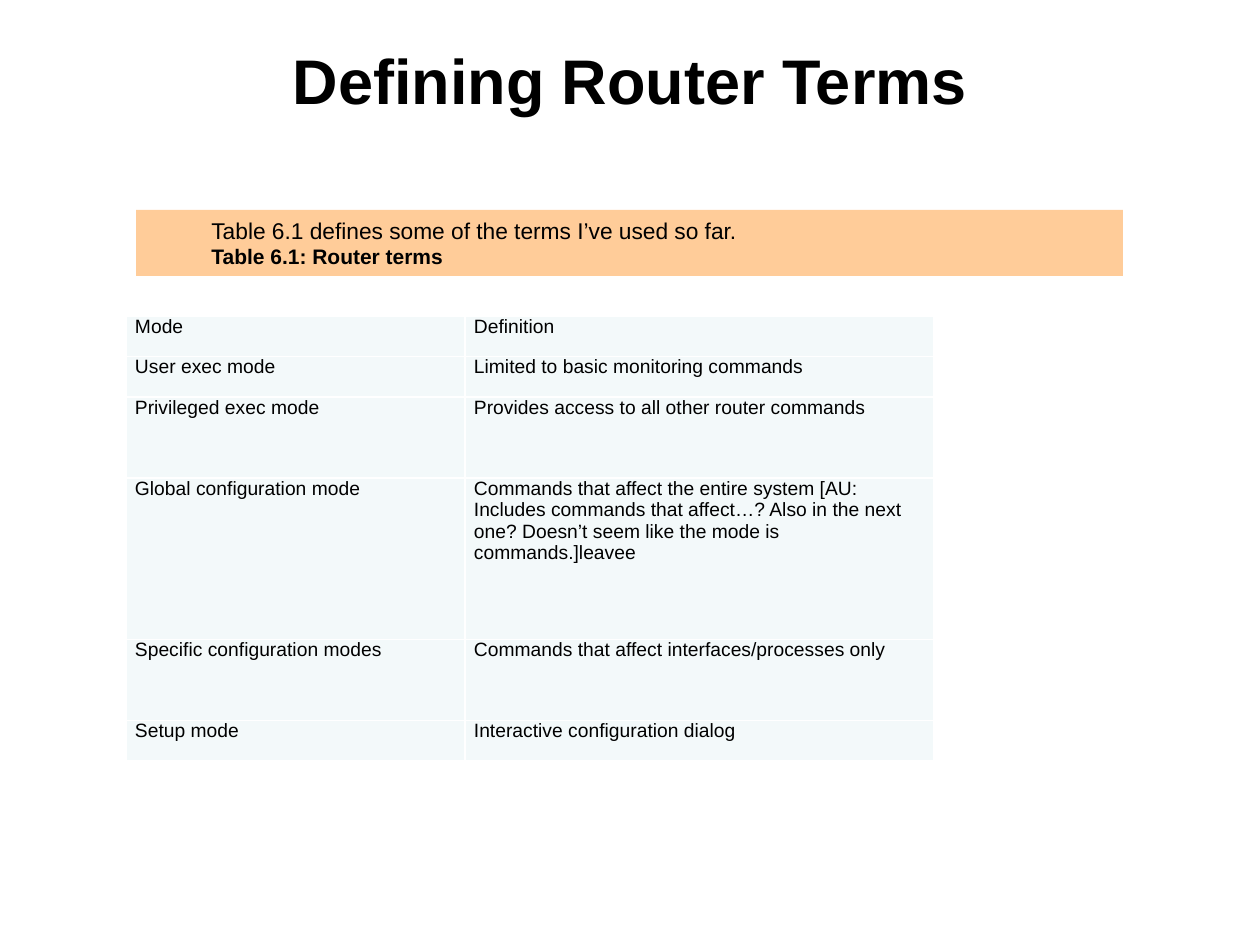
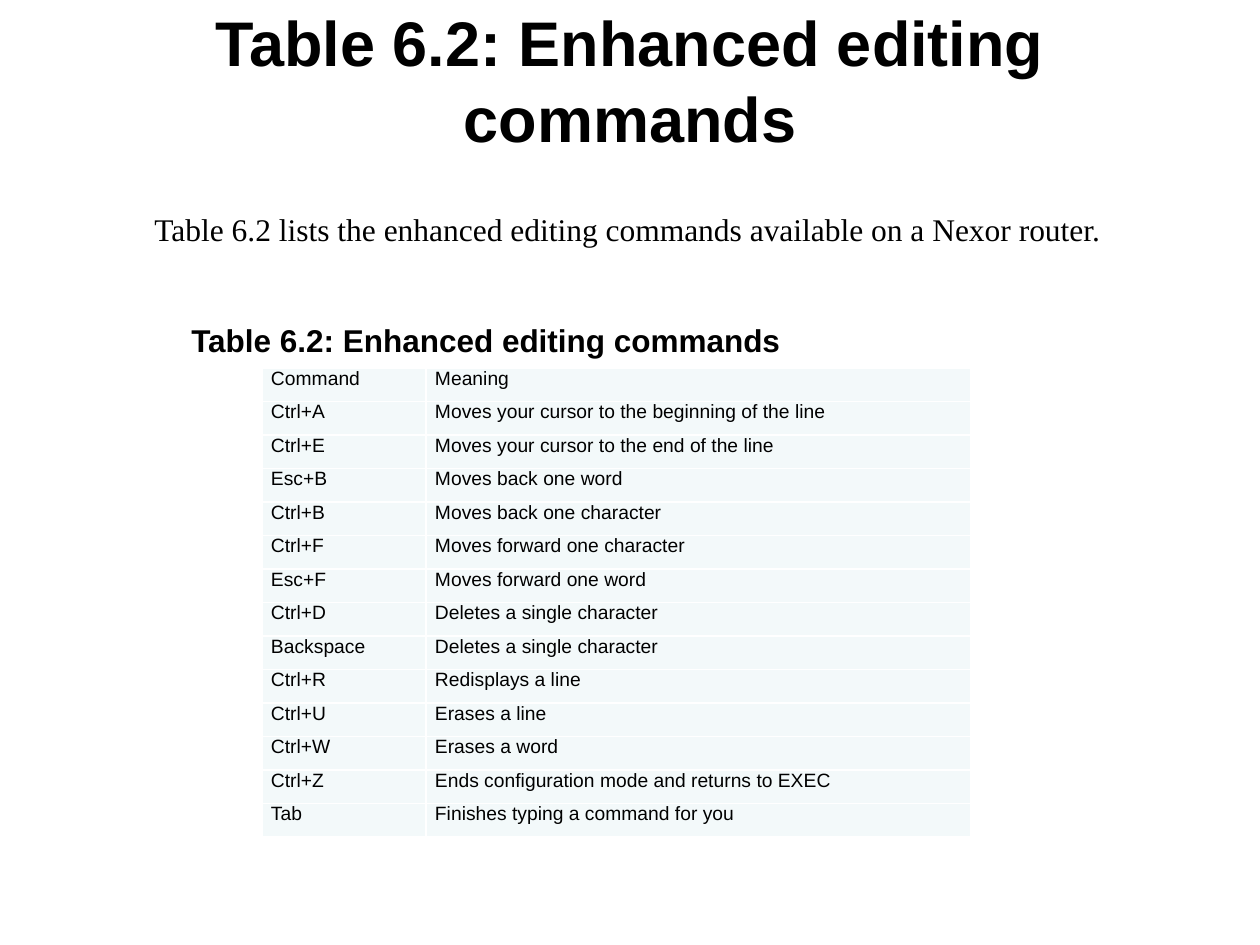
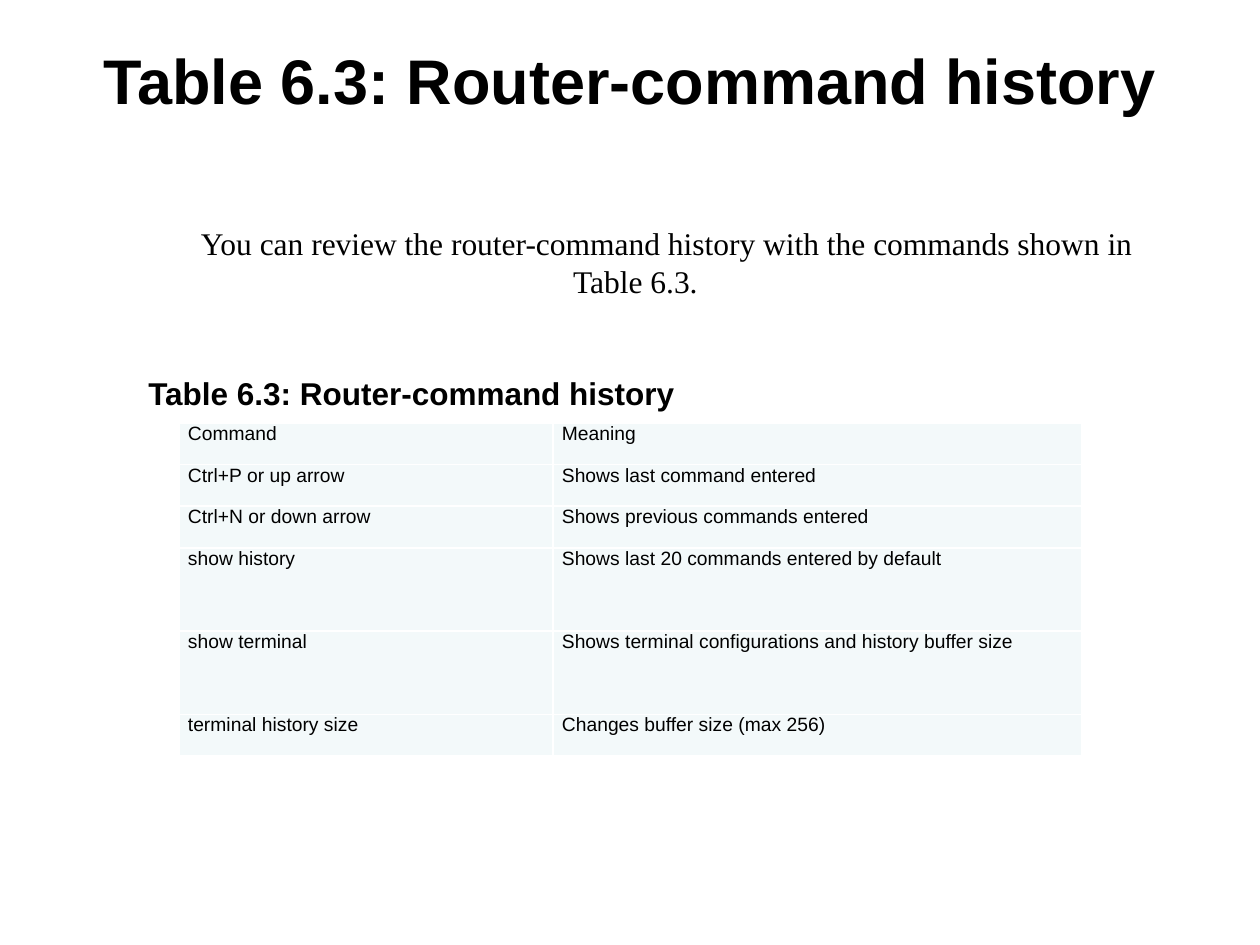
from dataclasses import dataclass
from itertools import accumulate

from lxml.etree import SubElement
from pptx import Presentation
from pptx.dml.color import RGBColor
from pptx.enum.shapes import MSO_SHAPE
from pptx.enum.text import MSO_ANCHOR, MSO_AUTO_SIZE, PP_ALIGN
from pptx.oxml.ns import qn
from pptx.util import Pt

EMU_PER_PX = 914400 / 126


@dataclass(frozen=True)
class Theme:
    ink: str = "000000"
    band: str = "FFCC99"
    cell: str = "F3F9FA"
    grid: str = "FFFFFF"
    sans: str = "Arial"
    serif: str = "Times New Roman"
    title: int = 36
    body: int = 18
    lead: int = 13
    label: int = 12
    table: int = 11


THEME = Theme()
TITLE_BOX = (63, 38, 1134, 157)
TITLE_LINE = 75
INDENT = 63
CELL_INSET = 9

ROUTER_TERMS = [
    ("Mode", "Definition"),
    ("User exec mode", "Limited to basic monitoring commands"),
    ("Privileged exec mode", "Provides access to all other router commands"),
    ("Global configuration mode",
     "Commands that affect the entire system [AU: Includes commands that affect…? "
     "Also in the next one? Doesn’t seem like the mode is commands.]leavee"),
    ("Specific configuration modes", "Commands that affect interfaces/processes only"),
    ("Setup mode", "Interactive configuration dialog"),
]
EDITING_COMMANDS = [
    ("Command", "Meaning"),
    ("Ctrl+A", "Moves your cursor to the beginning of the line"),
    ("Ctrl+E", "Moves your cursor to the end of the line"),
    ("Esc+B", "Moves back one word"),
    ("Ctrl+B", "Moves back one character"),
    ("Ctrl+F", "Moves forward one character"),
    ("Esc+F", "Moves forward one word"),
    ("Ctrl+D", "Deletes a single character"),
    ("Backspace", "Deletes a single character"),
    ("Ctrl+R", "Redisplays a line"),
    ("Ctrl+U", "Erases a line"),
    ("Ctrl+W", "Erases a word"),
    ("Ctrl+Z", "Ends configuration mode and returns to EXEC"),
    ("Tab", "Finishes typing a command for you"),
]
HISTORY_COMMANDS = [
    ("Command", "Meaning"),
    ("Ctrl+P or up arrow", "Shows last command entered"),
    ("Ctrl+N or down arrow", "Shows previous commands entered"),
    ("show history", "Shows last 20 commands entered by default"),
    ("show terminal", "Shows terminal configurations and history buffer size"),
    ("terminal history size", "Changes buffer size (max 256)"),
]


def px(length):
    return round(length * EMU_PER_PX)


def emu(box):
    return [px(length) for length in box]


def write(paragraph, text, size, font=THEME.sans, bold=False,
          align=PP_ALIGN.LEFT, before=0, after=0):
    paragraph.text = text
    paragraph.font.name = font
    paragraph.font.size = Pt(size)
    paragraph.font.bold = bold
    paragraph.font.color.rgb = RGBColor.from_string(THEME.ink)
    paragraph.alignment = align
    paragraph.space_before = Pt(before)
    paragraph.space_after = Pt(after)


def indent(paragraph, margin, first_line):
    properties = paragraph._p.get_or_add_pPr()
    properties.set("marL", str(px(margin)))
    properties.set("indent", str(px(first_line)))


def add_text(slide, box, wrap=True):
    frame = slide.shapes.add_textbox(*emu(box)).text_frame
    frame.word_wrap = wrap
    return frame


def add_title(slide, text):
    """Centre the title in its box, above one line kept free."""
    frame = add_text(slide, TITLE_BOX)
    frame.vertical_anchor = MSO_ANCHOR.MIDDLE
    frame.margin_top = 0
    frame.margin_bottom = px(TITLE_LINE)
    write(frame.paragraphs[0], text, THEME.title, bold=True, align=PP_ALIGN.CENTER)


def add_intro(slide, box, text, align=PP_ALIGN.LEFT):
    frame = add_text(slide, box)
    frame.auto_size = MSO_AUTO_SIZE.SHAPE_TO_FIT_TEXT
    write(frame.paragraphs[0], text, THEME.body, THEME.serif, align=align, after=6)
    indent(frame.paragraphs[0], INDENT, INDENT)


def add_caption(slide, box, text):
    frame = add_text(slide, box, wrap=False)
    frame.auto_size = MSO_AUTO_SIZE.SHAPE_TO_FIT_TEXT
    write(frame.paragraphs[0], text, THEME.body, bold=True, before=12, after=6)


def add_band(slide, box, lead, label):
    band = slide.shapes.add_shape(MSO_SHAPE.RECTANGLE, *emu(box))
    band.shadow.inherit = False
    band.fill.solid()
    band.fill.fore_color.rgb = RGBColor.from_string(THEME.band)
    band.line.fill.background()
    frame = band.text_frame
    frame.word_wrap = True
    frame.vertical_anchor = MSO_ANCHOR.MIDDLE
    write(frame.paragraphs[0], lead, THEME.lead)
    write(frame.add_paragraph(), label, THEME.label, bold=True)
    for paragraph in frame.paragraphs:
        indent(paragraph, 0, INDENT)


def outline_cell(cell):
    properties = cell._tc.get_or_add_tcPr()
    for side in ("lnL", "lnR", "lnT", "lnB"):
        line = SubElement(properties, qn(f"a:{side}"), w=str(Pt(1)))
        fill = SubElement(line, qn("a:solidFill"))
        SubElement(fill, qn("a:srgbClr"), val=THEME.grid)


def add_term_table(slide, box, rows, first_width, row_units=None):
    """Share the height of the box among the rows by their units."""
    row_units = row_units or [1] * len(rows)
    height, total = box[3], sum(row_units)
    table = slide.shapes.add_table(len(rows), 2, *emu(box)).table
    table.first_row = table.horz_banding = False
    for column, width in zip(table.columns, (first_width, box[2] - first_width)):
        column.width = px(width)
    edges = [px(height * units / total) for units in accumulate(row_units, initial=0)]
    for row, top, bottom in zip(table.rows, edges, edges[1:]):
        row.height = bottom - top
    for row_index, texts in enumerate(rows):
        for column_index, text in enumerate(texts):
            cell = table.cell(row_index, column_index)
            cell.margin_left = cell.margin_right = px(CELL_INSET)
            cell.margin_top = cell.margin_bottom = 0
            outline_cell(cell)
            cell.fill.solid()
            cell.fill.fore_color.rgb = RGBColor.from_string(THEME.cell)
            write(cell.text_frame.paragraphs[0], text, THEME.table,
                  after=3 if row_index else 0)


def build_terms(slide):
    add_title(slide, "Defining Router Terms")
    add_term_table(slide, (126, 316, 808, 445), ROUTER_TERMS, 339, [1, 1, 2, 4, 2, 1])
    add_band(slide, (136, 210, 987, 66),
             "Table 6.1 defines some of the terms I’ve used so far.",
             "Table 6.1: Router terms")


def build_editing(slide):
    heading = "Table 6.2: Enhanced editing commands"
    add_title(slide, heading)
    add_term_table(slide, (262, 368, 709, 469), EDITING_COMMANDS, 164)
    add_caption(slide, (179, 315, 620, 50), heading)
    add_intro(slide, (16, 204, 1176, 50),
              "Table 6.2 lists the enhanced editing commands available on a Nexor router.")


def build_history(slide):
    heading = "Table 6.3: Router-command history"
    add_title(slide, heading)
    add_term_table(slide, (179, 423, 903, 333), HISTORY_COMMANDS, 374, [1, 1, 1, 2, 2, 1])
    add_caption(slide, (136, 368, 557, 50), heading)
    add_intro(slide, (32, 218, 1144, 89),
              "You can review the router-command history with the commands shown in Table 6.3.",
              PP_ALIGN.CENTER)


def main():
    presentation = Presentation()
    presentation.slide_width, presentation.slide_height = px(1260), px(945)
    blank = presentation.slide_layouts[6]
    for build in (build_terms, build_editing, build_history):
        build(presentation.slides.add_slide(blank))
    presentation.save("out.pptx")


if __name__ == "__main__":
    main()
